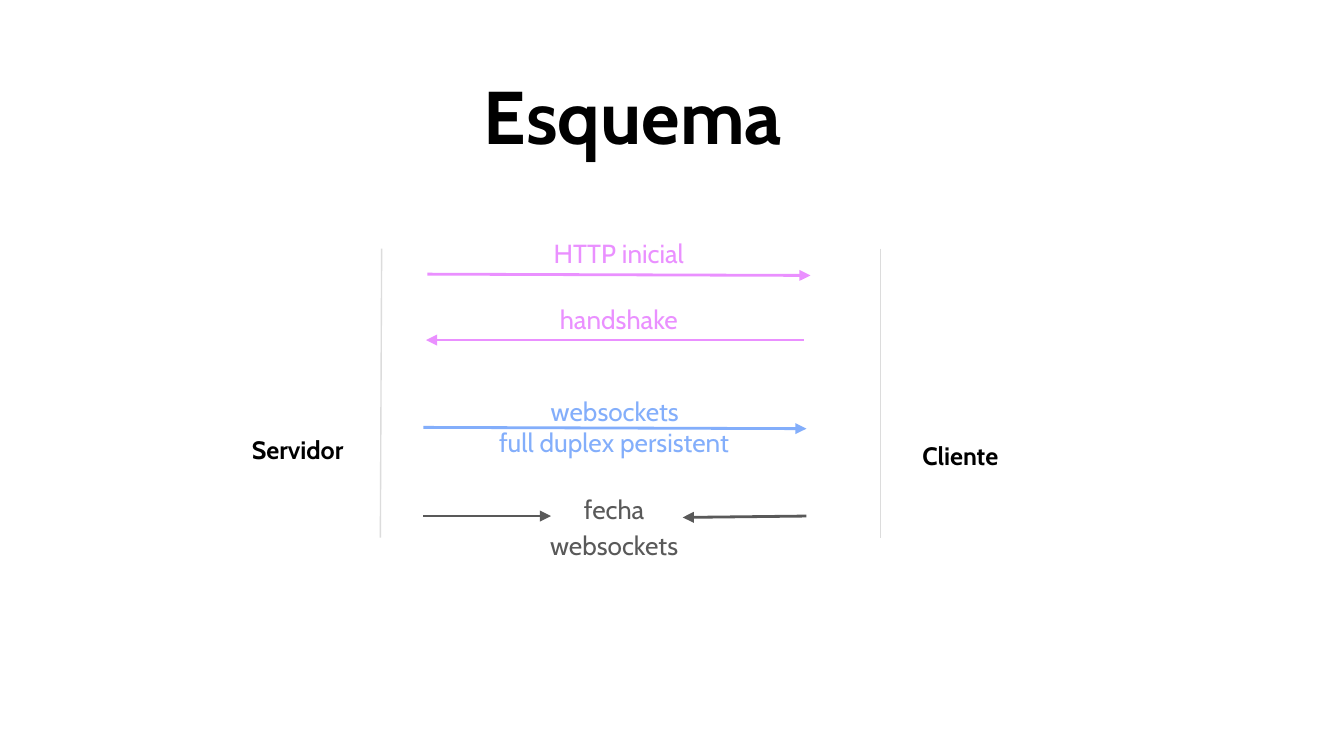
from dataclasses import dataclass

from lxml import etree
from pptx import Presentation
from pptx import util as u
from pptx.dml.color import RGBColor
from pptx.enum import shapes, text
from pptx.oxml.ns import qn


@dataclass(frozen=True)
class Theme:
    font: str = "Cabin"
    black: str = "000000"
    pink: str = "EA90FF"
    blue: str = "83AEFB"
    gray: str = "595959"
    pale: str = "DCDCDC"
    title: float = 40
    side: float = 13.5
    label: float = 14
    thick: float = 1.5
    thin: float = 0.75


T = Theme()


def write(slide, words, x, y, w, h=0.44, size=T.label, color=T.gray, bold=False):
    """Add one centred line of text."""
    box = slide.shapes.add_textbox(*map(u.Inches, (x, y, w, h)))
    frame = box.text_frame
    frame.word_wrap = True
    frame.auto_size = text.MSO_AUTO_SIZE.NONE
    frame.vertical_anchor = text.MSO_ANCHOR.TOP
    frame.margin_left = frame.margin_right = u.Inches(0.1)
    frame.margin_top = frame.margin_bottom = u.Inches(0.1)
    para = frame.paragraphs[0]
    para.alignment = text.PP_ALIGN.CENTER
    run = para.add_run()
    run.text = words
    run.font.name = T.font
    run.font.size = u.Pt(size)
    run.font.bold = bold
    run.font.color.rgb = RGBColor.from_string(color)


def draw(slide, start, end, color, width=T.thick, arrow=True):
    """Add a straight line, with an arrowhead at its end if wanted."""
    line = slide.shapes.add_connector(
        shapes.MSO_CONNECTOR.STRAIGHT, *map(u.Inches, start + end))
    line.line.color.rgb = RGBColor.from_string(color)
    line.line.width = u.Pt(width)
    props = line._element.spPr
    if arrow:
        etree.SubElement(props.find(qn("a:ln")), qn("a:tailEnd"), type="triangle")
    etree.SubElement(props, qn("a:effectLst"))


def main():
    # Page in 16:9
    deck = Presentation()
    deck.slide_width = u.Inches(10)
    deck.slide_height = deck.slide_width * 9 // 16
    slide = deck.slides.add_slide(deck.slide_layouts[6])

    # Title and the two sides
    write(slide, "Esquema", 3.01, 0.42, 3.4, 0.84,
          size=T.title, color=T.black, bold=True)
    for name, x, y in (("Servidor", 1.67, 3.13), ("Cliente", 6.6, 3.18)):
        write(slide, name, x, y, 1.09, 0.43,
              size=T.side, color=T.black, bold=True)

    # Message arrows
    for start, end, color in (
        ((3.18, 2.04), (6.03, 2.05), T.pink),
        ((5.98, 2.53), (3.17, 2.53), T.pink),
        ((3.15, 3.18), (6, 3.19), T.blue),
        ((3.15, 3.84), (4.1, 3.84), T.gray),
        ((6, 3.84), (5.08, 3.85), T.gray),
    ):
        draw(slide, start, end, color)

    # Message labels
    for words, x, y, w, color in (
        ("HTTP inicial", 3.92, 1.67, 1.37, T.pink),
        ("handshake", 3.92, 2.16, 1.37, T.pink),
        ("websockets", 3.89, 2.84, 1.37, T.blue),
        ("full duplex persistent", 3.35, 3.07, 2.44, T.blue),
        ("fecha", 3.35, 3.57, 2.44, T.gray),
        ("websockets", 3.35, 3.84, 2.44, T.gray),
    ):
        write(slide, words, x, y, w, color=color)

    # Lifelines
    for top, foot in ((2.84, 2.83), (6.55, 6.55)):
        draw(slide, (top, 1.85), (foot, 4), T.pale, width=T.thin, arrow=False)

    deck.save("out.pptx")


if __name__ == "__main__":
    main()
